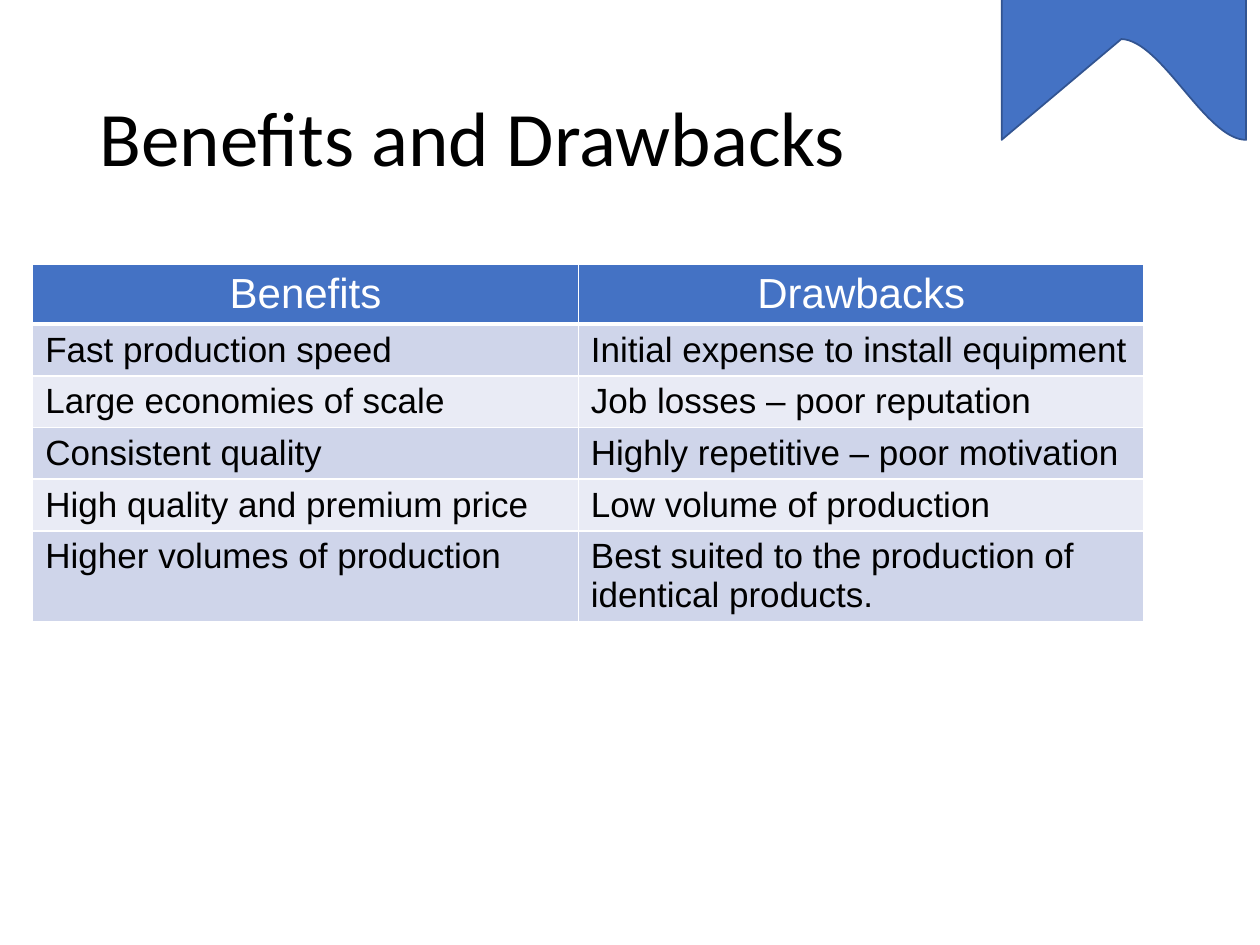
from dataclasses import dataclass

from lxml.etree import SubElement
from pptx import Presentation
from pptx.dml.color import RGBColor
from pptx.enum.text import MSO_ANCHOR, PP_ALIGN
from pptx.oxml.ns import qn
from pptx.util import Inches, Pt


@dataclass(frozen=True)
class Theme:
    title_font: str = "Calibri"
    table_font: str = "Arial"
    title_size: int = 44
    header_size: int = 24
    body_size: int = 20
    black: str = "000000"
    white: str = "FFFFFF"
    blue: str = "4472C4"
    dark_blue: str = "325491"
    bands: tuple = ("CFD5EA", "E9EBF5")


ROWS = [
    ("Benefits", "Drawbacks"),
    ("Fast production speed", "Initial expense to install equipment"),
    ("Large economies of scale", "Job losses – poor reputation"),
    ("Consistent quality", "Highly repetitive – poor motivation"),
    ("High quality and premium price", "Low volume of production"),
    ("Higher volumes of production",
     "Best suited to the production of identical products."),
]


class SlideBuilder:
    def __init__(self, page, theme):
        self.page = page
        self.theme = theme

    def style(self, paragraph, font, size, color, align=PP_ALIGN.LEFT):
        paragraph.alignment = align
        paragraph.font.name = font
        paragraph.font.size = Pt(size)
        paragraph.font.bold = False
        paragraph.font.color.rgb = RGBColor.from_string(color)

    def title(self, text, left, top, width, height):
        box = self.page.shapes.title
        box.left, box.top = Inches(left), Inches(top)
        box.width, box.height = Inches(width), Inches(height)
        frame = box.text_frame
        frame.text = text
        frame.word_wrap = True
        frame.vertical_anchor = MSO_ANCHOR.MIDDLE
        paragraph = frame.paragraphs[0]
        paragraph.line_spacing = 0.9
        self.style(paragraph, self.theme.title_font, self.theme.title_size,
                   self.theme.black)

    def borders(self, cell, bottom_width):
        properties = cell._tc.get_or_add_tcPr()
        widths = {"lnL": 1, "lnR": 1, "lnT": 1, "lnB": bottom_width}
        for index, (side, width) in enumerate(widths.items()):
            line = SubElement(properties, qn(f"a:{side}"), w=str(Pt(width)))
            fill = SubElement(line, qn("a:solidFill"))
            SubElement(fill, qn("a:srgbClr"), val=self.theme.white)
            properties.insert(index, line)  # borders come before the fill

    def table(self, rows, left, top, column_widths, row_height):
        theme = self.theme
        table = self.page.shapes.add_table(
            len(rows), len(column_widths), Inches(left), Inches(top),
            Inches(sum(column_widths)), Inches(row_height * len(rows))).table
        for column, width in zip(table.columns, column_widths):
            column.width = Inches(width)
        for row_index, texts in enumerate(rows):
            header = row_index == 0
            fill = theme.blue if header else theme.bands[(row_index - 1) % 2]
            for column_index, text in enumerate(texts):
                cell = table.cell(row_index, column_index)
                cell.text = text
                cell.fill.solid()
                cell.fill.fore_color.rgb = RGBColor.from_string(fill)
                self.borders(cell, 3 if header else 1)
                paragraph = cell.text_frame.paragraphs[0]
                if header:
                    self.style(paragraph, theme.table_font, theme.header_size,
                               theme.white, PP_ALIGN.CENTER)
                else:
                    self.style(paragraph, theme.table_font, theme.body_size,
                               theme.black)

    def ribbon(self, left, top, right, bottom, notch, controls):
        """Draw a ribbon whose lower edge curves to the notch, then runs straight."""
        start = (Inches(left), Inches(top))
        corners = [(right, top), (right, bottom), notch, (left, bottom)]
        builder = self.page.shapes.build_freeform(*start)
        builder.add_line_segments([(Inches(x), Inches(y)) for x, y in corners])
        shape = builder.convert_to_shape()
        shape.shadow.inherit = False
        shape.fill.solid()
        shape.fill.fore_color.rgb = RGBColor.from_string(self.theme.blue)
        shape.line.color.rgb = RGBColor.from_string(self.theme.dark_blue)
        shape.line.width = Pt(1)
        curve = list(shape._element.iter(qn("a:lnTo")))[2]
        curve.tag = qn("a:cubicBezTo")
        for index, (x, y) in enumerate(controls):
            point = SubElement(curve, qn("a:pt"), x=str(Inches(x) - start[0]),
                               y=str(Inches(y) - start[1]))
            curve.insert(index, point)


def main():
    deck = Presentation()
    deck.slide_width, deck.slide_height = Inches(10), Inches(7.5)
    page = deck.slides.add_slide(deck.slide_layouts[5])
    builder = SlideBuilder(page, Theme())
    builder.title("Benefits and Drawbacks", 0.69, 0.4, 8.62, 1.45)
    builder.table(ROWS, 0.26, 2.1, (4.33, 4.49), 0.41)
    builder.ribbon(7.95, -6.02, 9.89, 1.11, notch=(8.9, 0.31),
                   controls=[(9.57, 1.11), (9.22, 0.32)])
    deck.save("out.pptx")


if __name__ == "__main__":
    main()
